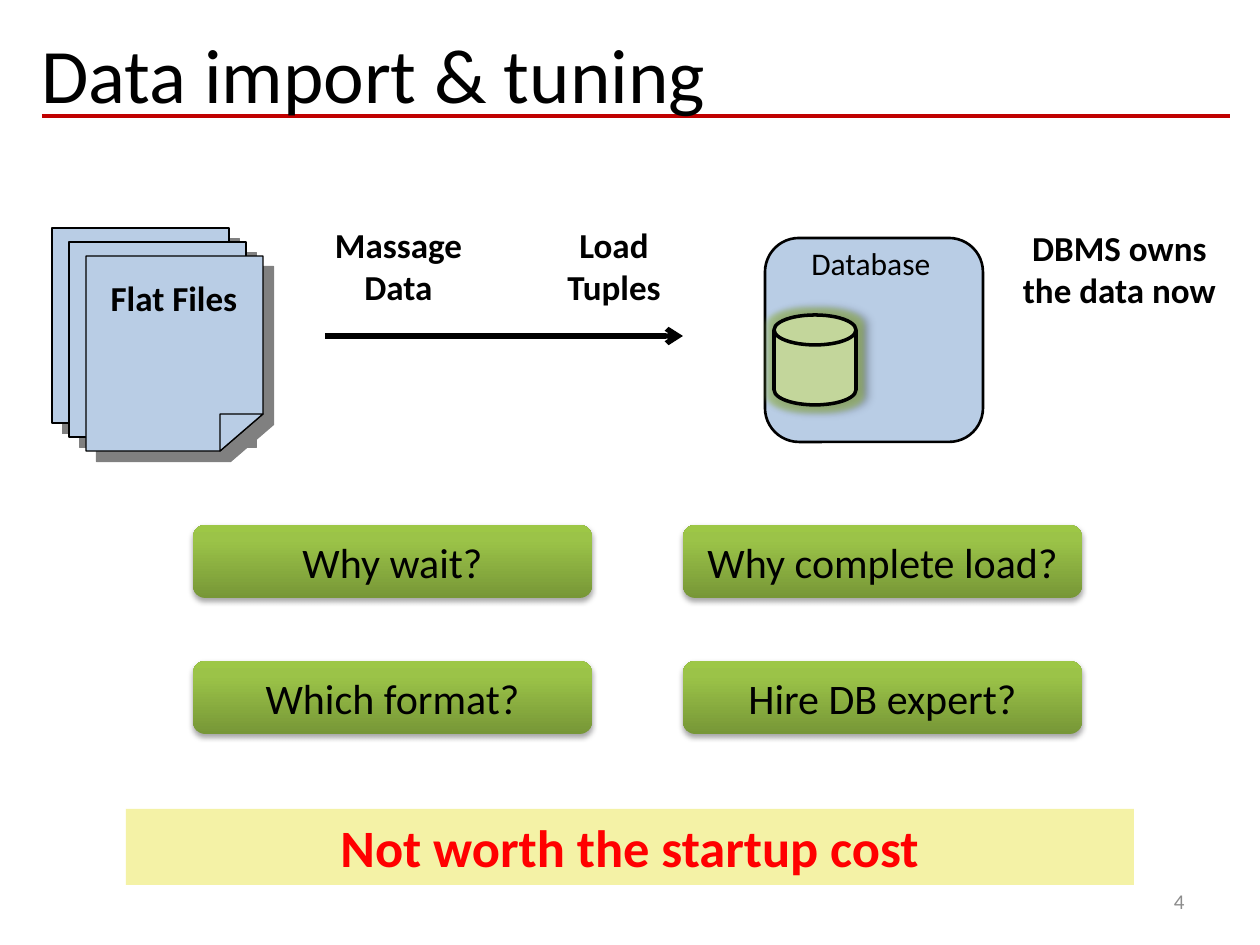
import copy
import pptx
import pptx.util
import pptx.dml.color
import pptx.enum.shapes
import pptx.enum.text
import pptx.oxml
import pptx.oxml.ns

SHAPE = pptx.enum.shapes.MSO_SHAPE
ALIGN = pptx.enum.text.PP_ALIGN
ANCHOR = pptx.enum.text.MSO_ANCHOR
SCALE = 914400 / 126  # EMU per px
FONT = "Calibri"
COLORS = {
    "black": "000000", "rule": "C00000", "number": "8C8C8C", "blue": "B9CDE5",
    "disk": "C3D69B", "glow": "9BBB59", "banner": "F4F2A6", "red": "FF0000",
    "gray": "808080",
}

# Content
TITLE = "Data import & tuning"
NUMBER = "4"
LABELS = [  # text, box
    ("Flat Files", (95, 270, 158, 55)),
    ("Massage\nData", (273, 217, 251, 97)),
    ("Load\nTuples", (504, 217, 220, 97)),
    ("DBMS owns the data now", (999, 220, 241, 97)),
]
QUESTIONS = [
    ["Why wait?", "Why complete load?"],
    ["Which format?", "Hire DB expert?"],
]
BANNER = "Not worth the startup cost"
GRADIENT = [(0, "779737"), (0.8, "9BC348"), (1, "9DC746")]


def px(value):
    return pptx.util.Emu(round(value * SCALE))


def rgb(name):
    return pptx.dml.color.RGBColor.from_string(COLORS.get(name, name))


def add_effects(shape, *effects):
    """Each effect is (kind, color, opacity %, blur pt, distance pt, degrees)."""
    xml = ""
    for kind, color, opacity, blur, distance, angle in effects:
        if kind == "glow":
            attributes = f'rad="{int(blur * 12700)}"'
        else:
            attributes = (f'blurRad="{int(blur * 12700)}" dist="{int(distance * 12700)}" '
                          f'dir="{angle * 60000}" algn="tl" rotWithShape="0"')
        xml += (f'<a:{kind} {attributes}><a:srgbClr val="{COLORS[color]}">'
                f'<a:alpha val="{opacity * 1000}"/></a:srgbClr></a:{kind}>')
    namespace = pptx.oxml.ns.nsdecls("a")
    shape._element.spPr.append(
        pptx.oxml.parse_xml(f"<a:effectLst {namespace}>{xml}</a:effectLst>"))


def paint(shape, fill, line_width=None):
    shape.fill.solid()
    shape.fill.fore_color.rgb = rgb(fill)
    if line_width:
        shape.line.color.rgb = rgb("black")
        shape.line.width = pptx.util.Pt(line_width)
    else:
        shape.line.fill.background()


def write(shape, text, size, color="black", bold=False, align=ALIGN.CENTER, anchor=ANCHOR.TOP):
    frame = shape.text_frame
    frame.word_wrap = True
    frame.vertical_anchor = anchor
    frame.text = text
    for paragraph in frame.paragraphs:
        paragraph.alignment = align
        paragraph.font.name = FONT
        paragraph.font.size = pptx.util.Pt(size)
        paragraph.font.bold = bold
        paragraph.font.color.rgb = rgb(color)


def add_box(shapes, kind, box):
    shape = shapes.add_shape(kind, *map(px, box))
    return shape


def add_text(shapes, box, text, size, **style):
    write(shapes.add_textbox(*map(px, box)), text, size, **style)


def add_line(shapes, start, end, color, width):
    line = shapes.add_connector(
        pptx.enum.shapes.MSO_CONNECTOR.STRAIGHT, *map(px, start + end))
    line.line.color.rgb = rgb(color)
    line.line.width = pptx.util.Pt(width)
    add_effects(line)
    return line


def add_outline(shapes, points):
    builder = shapes.build_freeform(*points[0], scale=SCALE)
    builder.add_line_segments(points[1:], close=True)
    outline = builder.convert_to_shape()
    paint(outline, "blue", 0.75)
    return outline


def add_flat_files(shapes):
    left, top, width, height, step_x, step_y = 52, 228, 177, 195, 17, 14
    fold_x, fold_y = 43, 37
    for index in range(3):
        x, y = left + index * step_x, top + index * step_y
        right, bottom = x + width, y + height
        points = [(x, y), (right, y), (right, bottom), (x, bottom)]
        if index == 2:
            points[2:3] = [(right, bottom - fold_y), (right - fold_x, bottom)]
        sheet = add_outline(shapes, points)
        add_effects(sheet, ("outerShdw", "gray", 100, 0, 8.5, 45))
    fold = add_outline(shapes, [
        (right, bottom - fold_y), (right - fold_x, bottom - fold_y), (right - fold_x, bottom)])
    add_effects(fold)


def add_database(shapes):
    group = shapes.add_group_shape().shapes
    server = add_box(group, SHAPE.ROUNDED_RECTANGLE, (765, 238, 218, 204))
    paint(server, "blue", 1.5)
    server.shadow.inherit = False
    add_text(group, (799, 238, 150, 44), "Database", 18, align=ALIGN.LEFT)
    disk = add_box(group, SHAPE.FLOWCHART_MAGNETIC_DISK, (774, 315, 82, 90))
    paint(disk, "disk", 2)
    add_effects(disk, ("glow", "glow", 60, 6, 0, 0), ("outerShdw", "black", 40, 4, 3, 0))


def add_question(shapes, box, text):
    button = add_box(shapes, SHAPE.ROUNDED_RECTANGLE, box)
    button.fill.gradient()
    button.fill.gradient_angle = 90
    stop_list = button._element.spPr.find(".//" + pptx.oxml.ns.qn("a:gsLst"))
    stop_list.append(copy.deepcopy(stop_list[-1]))
    for stop, (position, color) in zip(button.fill.gradient_stops, GRADIENT):
        stop.position = position
        stop.color.rgb = rgb(color)
    button.line.fill.background()
    add_effects(button, ("outerShdw", "black", 35, 3.1, 1.8, 90))
    write(button, text, 24, anchor=ANCHOR.MIDDLE)


def main():
    deck = pptx.Presentation()
    deck.slide_width, deck.slide_height = px(1260), px(945)
    shapes = deck.slides.add_slide(deck.slide_layouts[6]).shapes

    # Heading and slide number
    add_line(shapes, (42, 116), (1230, 116), "rule", 2.5)
    add_text(shapes, (29, 20, 1211, 158), TITLE, 44, align=ALIGN.LEFT)
    add_text(shapes, (903, 876, 294, 50), NUMBER, 12, color="number",
             align=ALIGN.RIGHT, anchor=ANCHOR.MIDDLE)

    # Import flow
    add_flat_files(shapes)
    arrow = add_line(shapes, (325, 336), (683, 336), "black", 3)
    arrow.line._get_or_add_ln().append(pptx.oxml.parse_xml(
        f'<a:tailEnd {pptx.oxml.ns.nsdecls("a")} type="arrow"/>'))
    add_database(shapes)
    for text, box in LABELS:
        add_text(shapes, box, text, 20, bold=True)

    # Questions
    for row, questions in enumerate(QUESTIONS):
        for column, question in enumerate(questions):
            add_question(shapes, (193 + column * 490, 525 + row * 136, 399, 73), question)

    # Conclusion
    banner = add_box(shapes, SHAPE.RECTANGLE, (126, 809, 1008, 76))
    paint(banner, "banner")
    banner.shadow.inherit = False
    write(banner, BANNER, 30, color="red", bold=True, anchor=ANCHOR.MIDDLE)

    deck.save("out.pptx")


if __name__ == "__main__":
    main()
